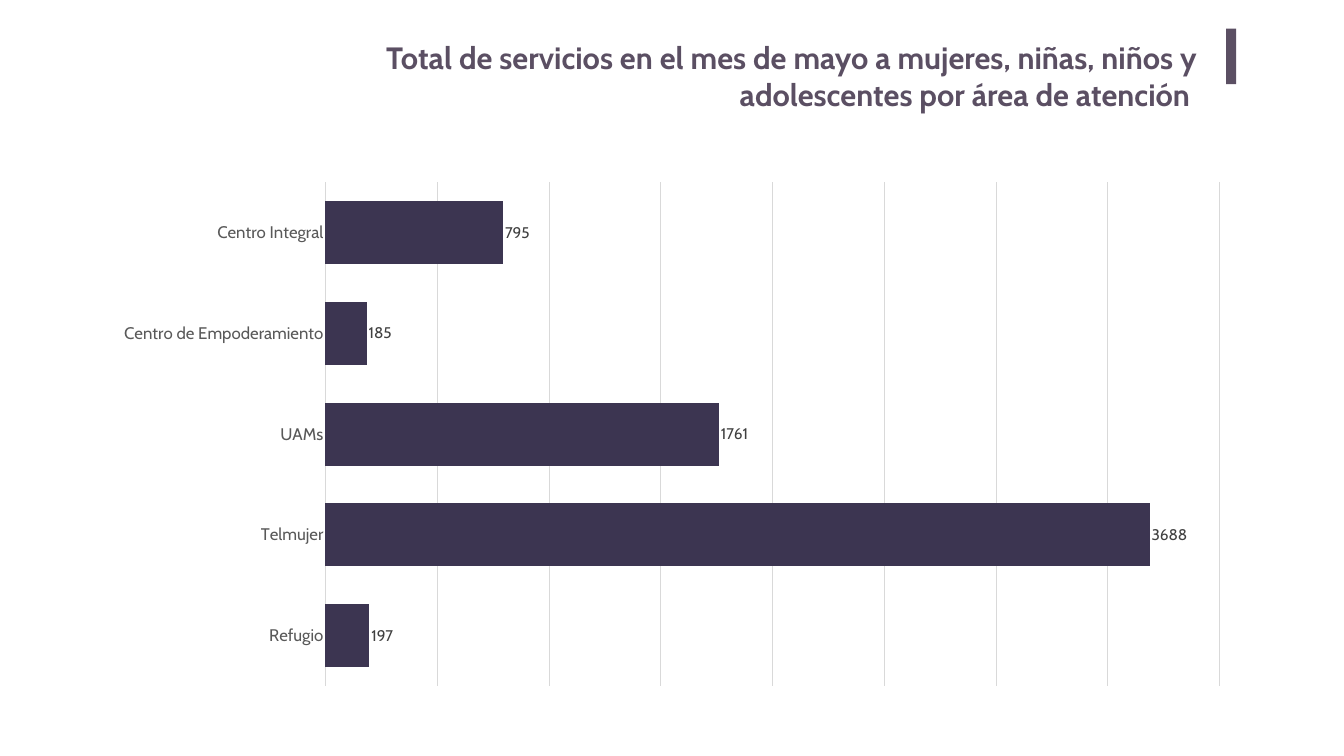
from dataclasses import dataclass

from pptx import Presentation
from pptx.chart import data as cd
from pptx.dml.color import RGBColor
from pptx.enum import chart as ch, shapes, text as tx
from pptx.util import Inches, Pt


@dataclass(frozen=True)
class Theme:
    font: str = "Cabin"
    plum: str = "5B4F63"
    bar: str = "3C3551"
    axis: str = "595959"
    label: str = "404040"
    grid: str = "D9D9D9"
    title_pt: int = 44
    axis_pt: int = 24
    label_pt: int = 22
    line_pt: float = 0.75


@dataclass(frozen=True)
class Box:
    left: float
    top: float
    width: float
    height: float

    def emu(self) -> list:
        return [Inches(v) for v in (self.left, self.top, self.width, self.height)]


@dataclass(frozen=True)
class Area:
    name: str
    total: int


THEME = Theme()
AREAS = [
    Area("Refugio", 197),
    Area("Telmujer", 3688),
    Area("UAMs", 1761),
    Area("Centro de Empoderamiento", 185),
    Area("Centro Integral", 795),
]


def style(font, size: float, color: str, bold: bool = False) -> None:
    font.name = THEME.font
    font.size = Pt(size)
    font.bold = bold
    font.color.rgb = RGBColor.from_string(color)


def rule(line) -> None:
    line.color.rgb = RGBColor.from_string(THEME.grid)
    line.width = Pt(THEME.line_pt)


def add_text(slide, box: Box, words: str, *, size: float, color: str,
             bold: bool = False, align=tx.PP_ALIGN.LEFT) -> None:
    frame = slide.shapes.add_textbox(*box.emu()).text_frame
    frame.word_wrap = True
    frame.margin_left = frame.margin_right = Inches(0.2)
    frame.margin_top = frame.margin_bottom = Inches(0.1)
    par = frame.paragraphs[0]
    par.alignment = align
    run = par.add_run()
    run.text = words
    style(run.font, size, color, bold)


def add_accent(slide, box: Box) -> None:
    bar = slide.shapes.add_shape(shapes.MSO_SHAPE.RECTANGLE, *box.emu())
    bar.shadow.inherit = False
    bar.fill.solid()
    bar.fill.fore_color.rgb = RGBColor.from_string(THEME.plum)
    bar.line.fill.background()


def add_bars(slide, box: Box, areas: list[Area]) -> None:
    data = cd.CategoryChartData()
    data.categories = [area.name for area in areas]
    data.add_series("Series 1", [area.total for area in areas])
    kind = ch.XL_CHART_TYPE.BAR_CLUSTERED
    chart = slide.shapes.add_chart(kind, *box.emu(), data).chart
    chart.has_title = False
    chart.has_legend = False
    style(chart.font, THEME.axis_pt, THEME.axis)

    # Axes
    cats = chart.category_axis
    cats.major_tick_mark = ch.XL_TICK_MARK.NONE
    cats.minor_tick_mark = ch.XL_TICK_MARK.NONE
    style(cats.tick_labels.font, THEME.axis_pt, THEME.axis)
    rule(cats.format.line)
    vals = chart.value_axis
    vals.visible = False
    vals.minimum_scale, vals.maximum_scale, vals.major_unit = 0, 4000, 500
    vals.has_major_gridlines = True
    rule(vals.major_gridlines.format.line)

    # Bars and their values
    plot = chart.plots[0]
    plot.vary_by_categories = False
    plot.gap_width = 60
    fill = plot.series[0].format.fill
    fill.solid()
    fill.fore_color.rgb = RGBColor.from_string(THEME.bar)
    labels = plot.series[0].data_labels
    labels.show_value = True
    labels.position = ch.XL_LABEL_POSITION.OUTSIDE_END
    style(labels.font, THEME.label_pt, THEME.label)


def main() -> None:
    deck = Presentation()
    deck.slide_width, deck.slide_height = Inches(26.67), Inches(15)
    slide = deck.slides.add_slide(deck.slide_layouts[6])

    # Heading
    add_accent(slide, Box(24.33, 0.57, 0.2, 1.1))
    add_text(slide, Box(6.56, 0.67, 17.4, 2.04),
             "Total de servicios en el mes de mayo a mujeres, niñas, niños y "
             "adolescentes por área de atención ",
             size=THEME.title_pt, color=THEME.plum, bold=True,
             align=tx.PP_ALIGN.RIGHT)

    # Services by area
    add_bars(slide, Box(2.01, 3.41, 22.64, 10.41), AREAS)
    deck.save("out.pptx")


if __name__ == "__main__":
    main()
